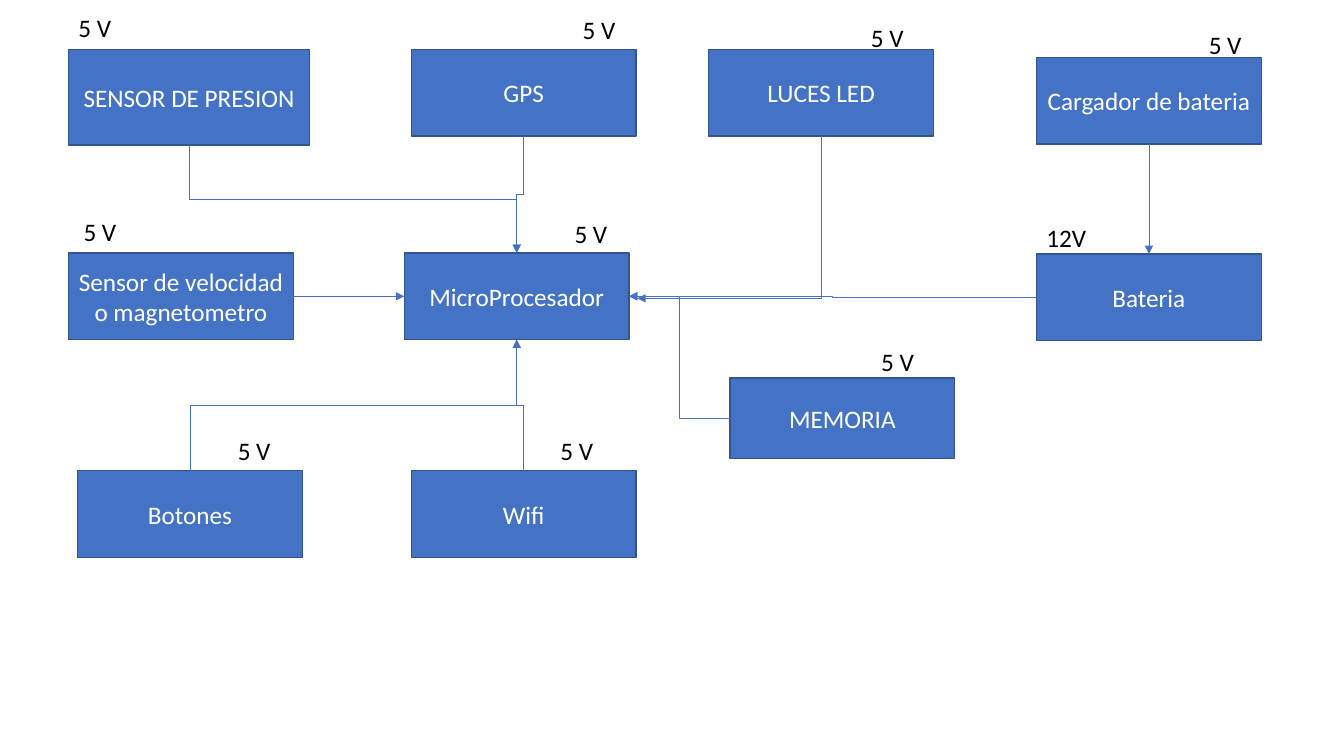
from lxml import etree
from pptx import Presentation
from pptx.dml.color import RGBColor
from pptx.enum.shapes import MSO_CONNECTOR as CONNECTOR, MSO_SHAPE as SHAPE
from pptx.enum.text import MSO_ANCHOR as ANCHOR, MSO_AUTO_SIZE as AUTO_SIZE, PP_ALIGN as ALIGN
from pptx.oxml.ns import qn
from pptx.util import Pt

PX = 9144  # 100 px to the inch
COLORS = {"box": "4472C4", "border": "325491", "box_text": "FFFFFF", "label": "000000"}
TOP, LEFT, BOTTOM, RIGHT = range(4)

presentation = Presentation()
presentation.slide_width, presentation.slide_height = 1333 * PX, 750 * PX
slide = presentation.slides.add_slide(presentation.slide_layouts[6])


def color(name):
    return RGBColor.from_string(COLORS[name])


def write(shape, text, color_name, align):
    frame = shape.text_frame
    frame.text = text
    frame.word_wrap = True
    paragraph = frame.paragraphs[0]
    paragraph.alignment = align
    font = paragraph.runs[0].font
    font.name, font.size = "Calibri", Pt(18)
    font.color.rgb = color(color_name)


# Component boxes: left, top, width, height
components = {
    "MicroProcesador": (401, 251, 223, 86),
    "Cargador de bateria": (1028, 57, 223, 86),
    "Bateria": (1028, 252, 223, 86),
    "Wifi": (408, 467, 223, 86),
    "Sensor de velocidad o magnetometro": (68, 251, 223, 86),
    "GPS": (408, 49, 223, 86),
    "LUCES LED": (703, 49, 223, 86),
    "Botones": (77, 467, 223, 86),
    "SENSOR DE PRESION": (68, 49, 239, 95),
    "MEMORIA": (724, 375, 223, 80),
}
boxes = {}
for name, bounds in components.items():
    box = slide.shapes.add_shape(SHAPE.RECTANGLE, *[value * PX for value in bounds])
    box.shadow.inherit = False
    box.fill.solid()
    box.fill.fore_color.rgb = color("box")
    box.line.color.rgb = color("border")
    box.line.width = Pt(1)
    box.text_frame.vertical_anchor = ANCHOR.MIDDLE
    write(box, name, "box_text", ALIGN.CENTER)
    boxes[name] = box

# Arrows: source, side, target, side (None ends just beside the processor)
arrows = [
    ("Cargador de bateria", BOTTOM, "Bateria", TOP),
    ("Bateria", LEFT, "MicroProcesador", RIGHT),
    ("Wifi", TOP, "MicroProcesador", BOTTOM),
    ("Sensor de velocidad o magnetometro", RIGHT, "MicroProcesador", LEFT),
    ("SENSOR DE PRESION", BOTTOM, "MicroProcesador", TOP),
    ("Botones", TOP, "MicroProcesador", BOTTOM),
    ("MEMORIA", LEFT, "MicroProcesador", RIGHT),
    ("LUCES LED", BOTTOM, None, None),
    ("GPS", BOTTOM, "MicroProcesador", TOP),
]
for source, source_side, target, target_side in arrows:
    kind = CONNECTOR.STRAIGHT if source_side == RIGHT else CONNECTOR.ELBOW
    arrow = slide.shapes.add_connector(kind, 0, 0, 632 * PX, 296 * PX)
    arrow.begin_connect(boxes[source], source_side)
    if target:
        arrow.end_connect(boxes[target], target_side)
    properties = arrow._element.spPr
    if not target:
        properties.find(qn("a:prstGeom")).set("prst", "bentConnector2")

    # An elbow that starts vertically is a horizontal one turned by 90 degrees
    if source_side in (TOP, BOTTOM):
        center_x = (arrow.begin_x + arrow.end_x) // 2
        center_y = (arrow.begin_y + arrow.end_y) // 2
        half_x = (arrow.end_x - arrow.begin_x) // 2
        half_y = (arrow.end_y - arrow.begin_y) // 2
        arrow.begin_x, arrow.begin_y = center_x - half_y, center_y + half_x
        arrow.end_x, arrow.end_y = center_x + half_y, center_y - half_x
        properties.find(qn("a:xfrm")).set("rot", "5400000")

    arrow.line.color.rgb = color("box")
    arrow.line.width = Pt(0.5)
    etree.SubElement(properties.find(qn("a:ln")), qn("a:tailEnd"), type="triangle")
    etree.SubElement(properties, qn("a:effectLst"))

# Voltage labels: text, left, top, width
labels = [
    ("5 V", 1189, 24, 62),
    ("12V", 1028, 216, 74),
    ("5 V", 854, 17, 62),
    ("5 V", 73, 210, 62),
    ("5 V", 68, 7, 62),
    ("5 V", 226, 427, 62),
    ("5 V", 560, 212, 62),
    ("5 V", 568, 9, 62),
    ("5 V", 864, 339, 62),
    ("5 V", 546, 427, 62),
]
for text, left, top, width in labels:
    label = slide.shapes.add_textbox(left * PX, top * PX, width * PX, 40 * PX)
    write(label, text, "label", ALIGN.LEFT)
    label.text_frame.auto_size = AUTO_SIZE.SHAPE_TO_FIT_TEXT

presentation.save("out.pptx")
